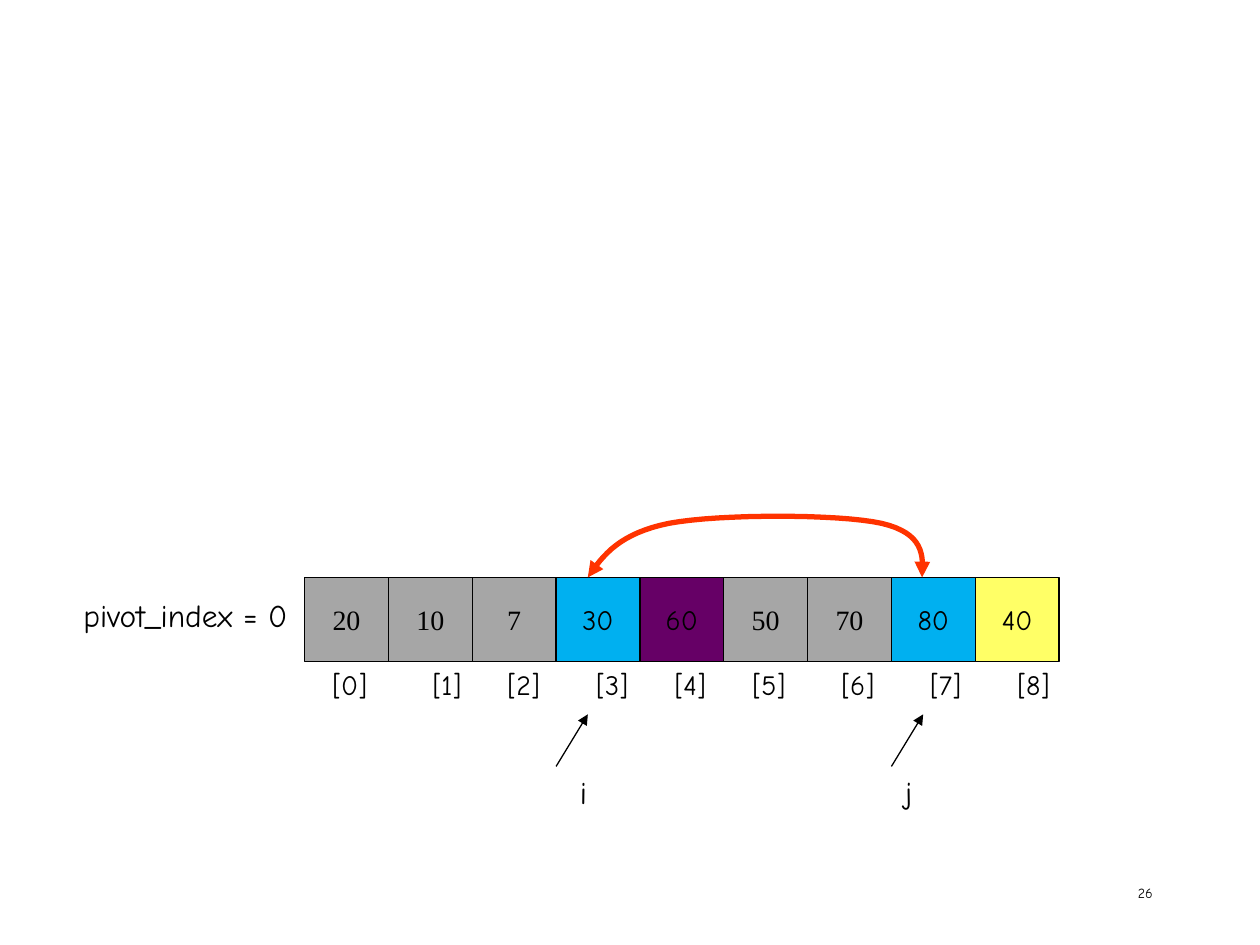
from dataclasses import dataclass

from lxml.etree import SubElement
from pptx import Presentation
from pptx.dml.color import RGBColor
from pptx.enum.shapes import MSO_CONNECTOR, MSO_SHAPE
from pptx.enum.text import MSO_ANCHOR, PP_ALIGN
from pptx.oxml.ns import qn
from pptx.util import Cm, Pt


@dataclass(frozen=True)
class Theme:
    """Colours, fonts and type sizes of the slide."""
    ink: str = "000000"
    done: str = "A6A6A6"
    swap: str = "00B0F0"
    middle: str = "660066"
    pivot: str = "FFFF66"
    curve: str = "FF3300"
    hand: str = "Comic Neue"
    serif: str = "Times New Roman"
    label: int = 18
    value: int = 16
    small: int = 8
    thin: float = 0.75
    thick: float = 3


THEME = Theme()
CELLS = [
    ("20", THEME.done, THEME.serif), ("10", THEME.done, THEME.serif),
    ("7", THEME.done, THEME.serif), ("30", THEME.swap, THEME.hand),
    ("60", THEME.middle, THEME.hand), ("50", THEME.done, THEME.serif),
    ("70", THEME.done, THEME.serif), ("80", THEME.swap, THEME.hand),
    ("40", THEME.pivot, THEME.hand),
]
INDEX_TABS = [2.02, 3.53, 5.32, 6.9, 8.47, 10.26, 12.05, 13.81]
POINTERS = [("i", 3, 9.1, 8.05, 2.34), ("j", 7, 16.72, 5.92, 1.27)]
SWAP_CURVE = [
    ((11.85, 11.64), (12.16, 11.18), (12.5, 10.75), (13.49, 10.55)),
    ((13.49, 10.55), (14.48, 10.36), (16.92, 10.36), (17.77, 10.55)),
    ((17.77, 10.55), (18.62, 10.75), (18.62, 11.18), (18.59, 11.64)),
]
ROW_LEFT, ROW_TOP, CELL = 6.14, 11.64, 1.69
POINTER_TOP, POINTER_BOTTOM, POINTER_RUN = 14.4, 15.45, 0.64
CURVE_STEPS = 16


def style_text(shape, text, size, font=THEME.hand, align=PP_ALIGN.LEFT):
    frame = shape.text_frame
    frame.text = text
    paragraph = frame.paragraphs[0]
    paragraph.alignment = align
    for span in paragraph.runs:
        span.font.size, span.font.name = Pt(size), font
        span.font.color.rgb = RGBColor.from_string(THEME.ink)


def add_label(page, text, place, size, wrap=False):
    box = page.shapes.add_textbox(*map(Cm, place))
    box.text_frame.word_wrap = wrap
    style_text(box, text, size)
    return box


def style_line(shape, color, width, ends=()):
    shape.line.color.rgb = RGBColor.from_string(color)
    shape.line.width = Pt(width)
    outline = shape.line._get_or_add_ln()
    for end in ends:
        SubElement(outline, qn(f"a:{end}"), type="triangle")


def add_cell(page, position, value, fill, font):
    cell = page.shapes.add_shape(
        MSO_SHAPE.RECTANGLE, Cm(ROW_LEFT + position * CELL), Cm(ROW_TOP), Cm(CELL), Cm(CELL))
    cell.shadow.inherit = False
    cell.fill.solid()
    cell.fill.fore_color.rgb = RGBColor.from_string(fill)
    style_line(cell, THEME.ink, THEME.thin)
    cell.text_frame.word_wrap = False
    cell.text_frame.vertical_anchor = MSO_ANCHOR.MIDDLE
    style_text(cell, value, THEME.value, font, PP_ALIGN.CENTER)


def add_indices(page):
    text = "\t".join(f"[{position}]" for position in range(len(CELLS)))
    box = add_label(page, text, (6.45, 13.34, 15.4, 0.94), THEME.value, wrap=True)
    tabs = SubElement(box.text_frame.paragraphs[0]._p.get_or_add_pPr(), qn("a:tabLst"))
    for stop in INDEX_TABS:
        SubElement(tabs, qn("a:tab"), pos=str(Cm(stop)), algn="l")


def add_pointer(page, name, position, left, width, indent):
    box = add_label(page, name, (left, POINTER_BOTTOM, width, 1.02), THEME.label, wrap=True)
    box.text_frame.margin_left = Cm(0.25 + indent)
    start = ROW_LEFT + position * CELL
    arrow = page.shapes.add_connector(
        MSO_CONNECTOR.STRAIGHT, Cm(start), Cm(POINTER_BOTTOM),
        Cm(start + POINTER_RUN), Cm(POINTER_TOP))
    style_line(arrow, THEME.ink, THEME.thin, ["tailEnd"])
    SubElement(arrow._element.spPr, qn("a:effectLst"))


def bezier_point(controls, t):
    weights = ((1 - t) ** 3, 3 * t * (1 - t) ** 2, 3 * t ** 2 * (1 - t), t ** 3)
    return tuple(Cm(sum(w * c for w, c in zip(weights, axis))) for axis in zip(*controls))


def add_swap_curve(page):
    points = [bezier_point(controls, step / CURVE_STEPS)
              for controls in SWAP_CURVE for step in range(1, CURVE_STEPS + 1)]
    builder = page.shapes.build_freeform(*bezier_point(SWAP_CURVE[0], 0))
    builder.add_line_segments(points, close=False)
    curve = builder.convert_to_shape()
    curve.shadow.inherit = False
    curve.fill.background()
    style_line(curve, THEME.curve, THEME.thick, ["headEnd", "tailEnd"])


def main():
    """Build the partition step in which items i and j are swapped."""
    deck = Presentation()
    deck.slide_width, deck.slide_height = Cm(25.4), Cm(19.05)
    page = deck.slides.add_slide(deck.slide_layouts[6])
    for position, cell in enumerate(CELLS):
        add_cell(page, position, *cell)
    add_label(page, "pivot_index = 0", (1.43, 11.89, 4.62, 1.02), THEME.label)
    for pointer in POINTERS:
        add_pointer(page, *pointer)
    add_swap_curve(page)
    number = add_label(page, "26", (18.2, 17.36, 5.29, 1.27), THEME.small, wrap=True)
    number.text_frame.vertical_anchor = MSO_ANCHOR.MIDDLE
    number.text_frame.paragraphs[0].alignment = PP_ALIGN.RIGHT
    add_indices(page)
    deck.save("out.pptx")


if __name__ == "__main__":
    main()
